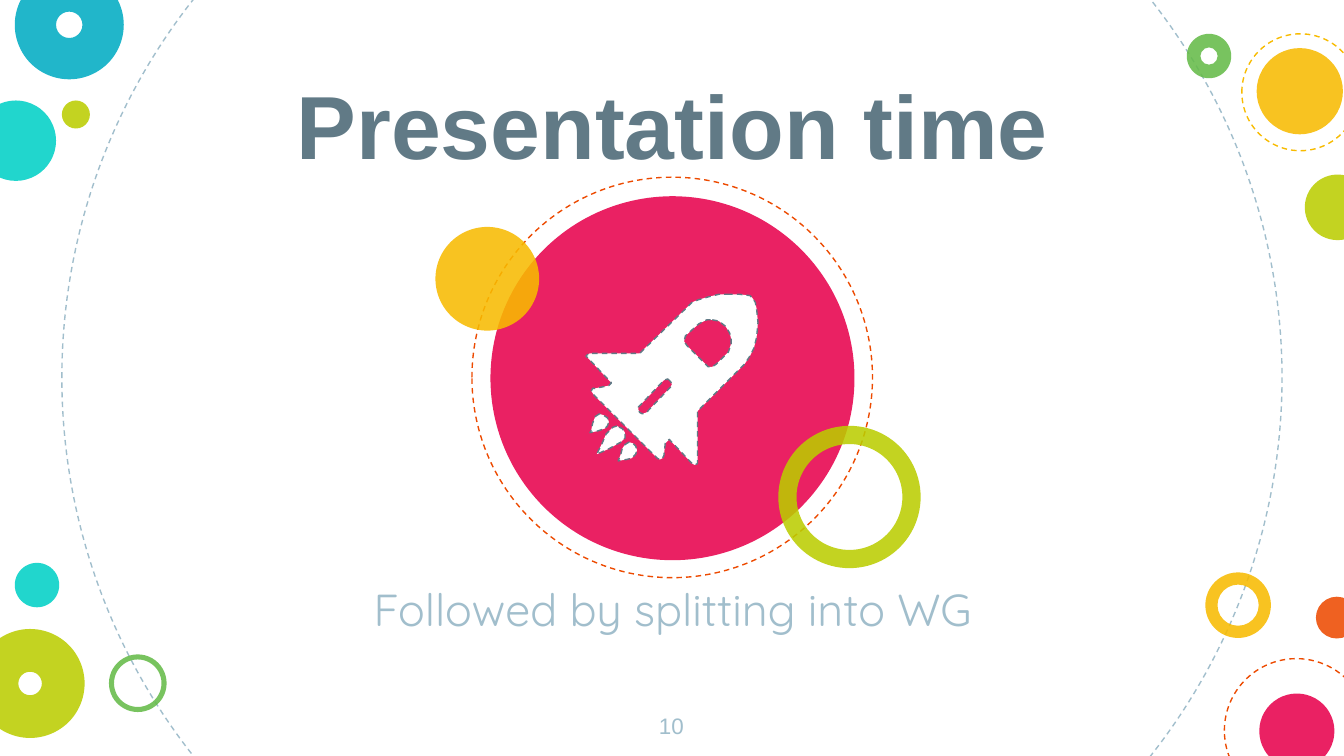
from pptx import Presentation
from pptx.dml.color import RGBColor
from pptx.enum.dml import MSO_LINE
from pptx.enum.shapes import MSO_SHAPE
from pptx.enum.text import MSO_ANCHOR, MSO_AUTO_SIZE, PP_ALIGN
from pptx.oxml.ns import qn
from pptx.util import Cm, Pt
from lxml import etree

WHITE = RGBColor(0xFF, 0xFF, 0xFF)
SLATE = RGBColor(0x61, 0x7A, 0x86)
MIST = RGBColor(0xA1, 0xBE, 0xCC)
TURQUOISE = RGBColor(0x00, 0xD1, 0xC6)
BLUE = RGBColor(0x00, 0xAC, 0xC3)
YELLOW = RGBColor(0xF8, 0xBB, 0x00)
LIME = RGBColor(0xBB, 0xCD, 0x00)
GREEN = RGBColor(0x65, 0xBB, 0x48)
ORANGE = RGBColor(0xED, 0x4A, 0x00)
PINK = RGBColor(0xE8, 0x00, 0x4C)


def write(box, text, area, size, color, font="Arial", bold=False,
          anchor=MSO_ANCHOR.TOP, before=0):
    box.left, box.top, box.width, box.height = (Cm(length) for length in area)
    frame = box.text_frame
    frame.word_wrap = True
    frame.auto_size = MSO_AUTO_SIZE.NONE
    frame.vertical_anchor = anchor
    frame.margin_left = frame.margin_right = Cm(0.25)
    frame.margin_top = frame.margin_bottom = Cm(0.25)
    para = frame.paragraphs[0]
    para.alignment = PP_ALIGN.CENTER
    para.space_before = Pt(before)
    span = para.add_run()
    span.text = text
    span.font.name = font
    span.font.size = Pt(size)
    span.font.bold = bold
    span.font.color.rgb = color


def dash(shape, color):
    shape.line.color.rgb = color
    shape.line.width = Pt(0.75)
    shape.line.dash_style = MSO_LINE.DASH


deck = Presentation()
deck.slide_width, deck.slide_height = Cm(25.4), Cm(14.29)
page = deck.slides.add_slide(deck.slide_layouts[0])

# Circles: left, top, diameter, colour, style
# (None is a solid disc, "dash" an outline, a number the ring thickness)
circles = [
    (1.17, -4.39, 23.06, MIST, "dash"),
    (-0.46, 1.9, 1.52, TURQUOISE, None),
    (22.78, 10.82, 1.24, YELLOW, 0.186),
    (0.28, -0.56, 2.06, BLUE, 0.379),
    (1.17, 1.9, 0.53, LIME, None),
    (23.14, 12.45, 2.72, ORANGE, "dash"),
    (2.06, 12.37, 1.09, GREEN, 0.088),
    (24.87, 11.28, 0.79, ORANGE, None),
    (-0.46, 11.89, 2.06, LIME, 0.392),
    (23.8, 13.11, 1.42, PINK, None),
    (22.43, 0.64, 0.84, GREEN, 0.306),
    (23.75, 0.91, 1.63, YELLOW, None),
    (24.66, 3.3, 1.24, LIME, None),
    (23.47, 0.64, 2.21, YELLOW, "dash"),
    (0.28, 10.64, 0.84, TURQUOISE, None),
    # Central badge
    (9.27, 3.71, 6.88, PINK, None),
    (8.92, 3.35, 7.57, ORANGE, "dash"),
    (8.23, 4.29, 1.96, YELLOW, None),
    (14.71, 8.05, 2.69, LIME, 0.128),
]
for left, top, size, color, style in circles:
    kind = MSO_SHAPE.DONUT if isinstance(style, float) else MSO_SHAPE.OVAL
    circle = page.shapes.add_shape(kind, Cm(left), Cm(top), Cm(size), Cm(size))
    circle.shadow.inherit = False
    if style == "dash":
        circle.fill.background()
        dash(circle, color)
        continue
    if style:
        circle.adjustments[0] = style
    circle.line.fill.background()
    circle.fill.solid()
    circle.fill.fore_color.rgb = color
    tint = circle.element.spPr.find(qn("a:solidFill"))[0]
    etree.SubElement(tint, qn("a:alpha")).set("val", "87000")

# Rocket, in hundredths of an inch: each part is a list of closed outlines
window = [(530, 238), (535, 239), (540, 243), (543, 248), (544, 252), (544, 256),
          (542, 262), (533, 271), (530, 273), (527, 273), (511, 257), (509, 254),
          (510, 250), (520, 241), (526, 238)]
slot = [(497, 282), (499, 284), (500, 286), (499, 288), (481, 307), (478, 308),
        (476, 307), (475, 305), (475, 303), (494, 283)]
body = [(543, 219), (535, 219), (527, 221), (520, 223), (515, 225), (512, 228),
        (476, 263), (439, 263), (437, 264), (436, 265), (438, 267), (455, 285),
        (453, 287), (443, 289), (441, 289), (440, 291), (442, 294), (489, 341),
        (491, 342), (493, 341), (494, 339), (495, 330), (498, 327), (515, 345),
        (517, 346), (519, 345), (519, 306), (554, 271), (558, 265), (561, 259),
        (563, 251), (564, 240), (563, 230), (562, 225), (560, 222), (558, 220),
        (550, 219)]
middle_flame = [(459, 317), (456, 318), (453, 321), (451, 323), (448, 330),
                (444, 338), (453, 334), (462, 329), (465, 326), (465, 322),
                (463, 319)]
right_flame = [(468, 329), (465, 331), (463, 334), (462, 338), (460, 343),
               (466, 342), (470, 341), (473, 338), (474, 335), (473, 332),
               (471, 330)]
left_flame = [(446, 308), (443, 310), (441, 315), (440, 320), (439, 322),
              (444, 321), (450, 319), (452, 317), (453, 314), (452, 311),
              (449, 309)]
for outlines in ([window, slot, body], [middle_flame], [right_flame], [left_flame]):
    builder = page.shapes.build_freeform(*outlines[0][0], scale=Cm(2.54) / 100)
    builder.add_line_segments(outlines[0][1:], close=True)
    for outline in outlines[1:]:
        builder.move_to(*outline[0])
        builder.add_line_segments(outline[1:], close=True)
    part = builder.convert_to_shape()
    part.shadow.inherit = False
    part.fill.solid()
    part.fill.fore_color.rgb = WHITE
    dash(part, SLATE)

# Title, subtitle and page number
write(page.shapes.title, "Presentation time", (3.63, 0.38, 18.16, 3.23), 48, SLATE,
      bold=True, anchor=MSO_ANCHOR.BOTTOM)
write(page.placeholders[1], "Followed by splitting into WG",
      (3.63, 10.74, 18.16, 2.18), 24, MIST, font="Quicksand", before=6)
number = page.shapes.add_textbox(0, 0, 0, 0)
write(number, "10", (12.04, 13.21, 1.3, 1.09), 12, MIST)

deck.save("out.pptx")
